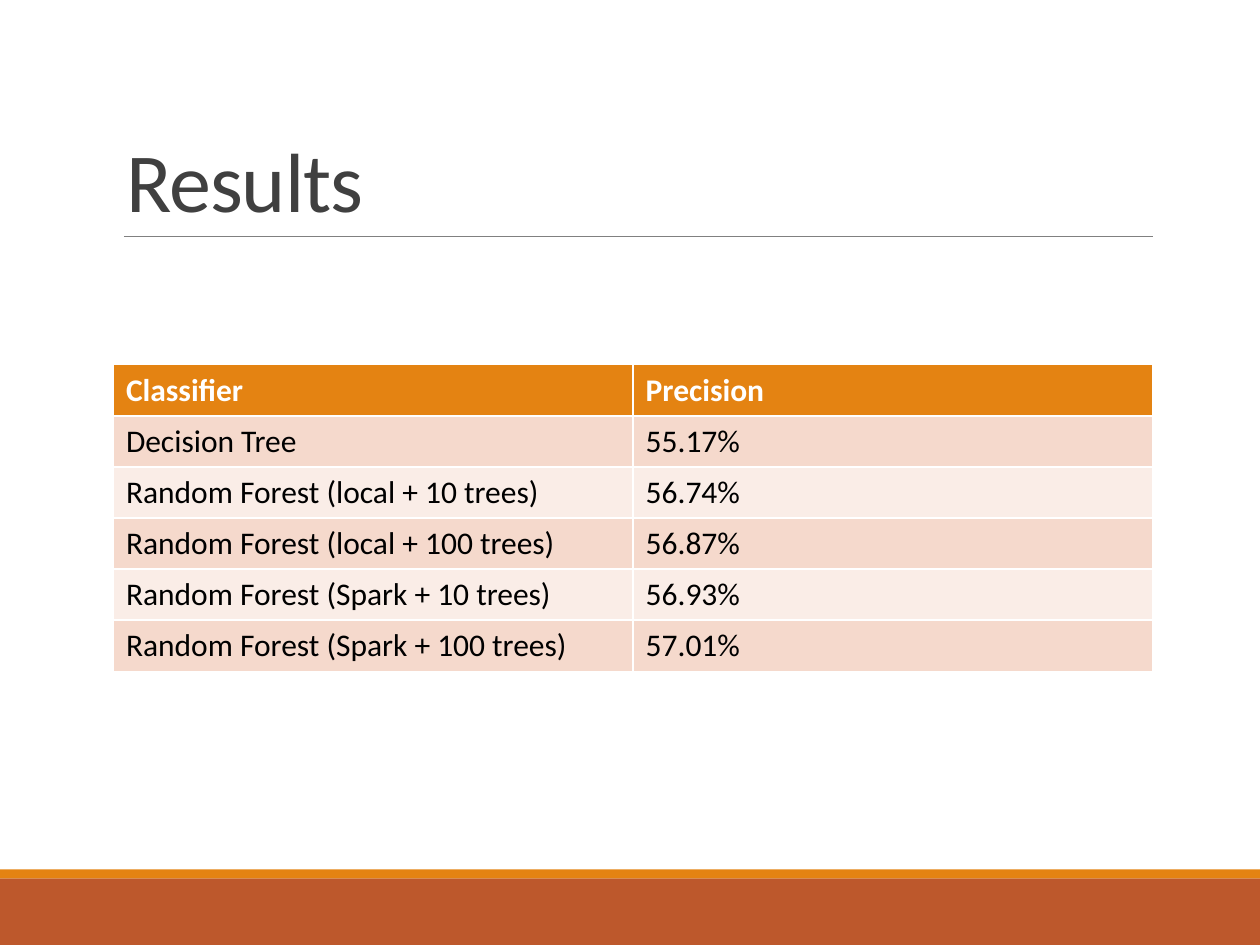
import dataclasses

import lxml.etree
import pptx
import pptx.dml.color
import pptx.enum.shapes
import pptx.enum.text
import pptx.oxml.ns
import pptx.util


def rgb(code):
    """Return the colour for a hex code."""
    return pptx.dml.color.RGBColor.from_string(code)


@dataclasses.dataclass(frozen=True)
class Theme:
    """Hold the colours and type sizes of the slide."""

    font: str = "Calibri"
    title_size: int = 48
    table_size: int = 18
    title: str = "404040"
    rule: str = "808080"
    header_text: str = "FFFFFF"
    body_text: str = "000000"
    header: str = "E48312"
    footer: str = "BD582C"
    bands: tuple = ("F5D9CC", "FAEDE7")


@dataclasses.dataclass(frozen=True)
class Box:
    """Describe a region in inches."""

    left: float
    top: float
    width: float
    height: float

    def region(self, x, y, width, height):
        """Return a region given as shares of this one."""
        return Box(self.left + x * self.width, self.top + y * self.height,
                   width * self.width, height * self.height)

    def lengths(self):
        """Return left, top, width and height as lengths."""
        return [pptx.util.Inches(side) for side in dataclasses.astuple(self)]


THEME = Theme()
PAGE = Box(0, 0, 10, 7.5)
RESULTS = [
    ("Classifier", "Precision"),
    ("Decision Tree", "55.17%"),
    ("Random Forest (local + 10 trees)", "56.74%"),
    ("Random Forest (local + 100 trees)", "56.87%"),
    ("Random Forest (Spark + 10 trees)", "56.93%"),
    ("Random Forest (Spark + 100 trees)", "57.01%"),
]


def apply(target, formats):
    """Set every attribute in formats on target."""
    for name, value in formats.items():
        setattr(target, name, value)


def style_font(font, size, color, bold=False):
    """Format a font with the theme typeface."""
    apply(font, {"name": THEME.font, "size": pptx.util.Pt(size), "bold": bold})
    font.color.rgb = rgb(color)


def add_footer(slide, box):
    """Place the thin accent stripe above the footer band."""
    stripe = 0.12
    bands = [
        (box.region(0, stripe, 1, 1 - stripe), THEME.footer),
        (box.region(0, 0, 1, stripe), THEME.header),
    ]
    for area, color in bands:
        band = slide.shapes.add_shape(
            pptx.enum.shapes.MSO_SHAPE.RECTANGLE, *area.lengths())
        band.shadow.inherit = False
        band.fill.solid()
        band.fill.fore_color.rgb = rgb(color)
        band.line.fill.background()


def add_heading(slide, box, wording):
    """Place the title at the bottom of the box with a rule beneath it."""
    heading = slide.shapes.title
    apply(heading, dict(zip(("left", "top", "width", "height"), box.lengths())))
    apply(heading.text_frame, {
        "text": wording,
        "word_wrap": True,
        "auto_size": pptx.enum.text.MSO_AUTO_SIZE.NONE,
        "vertical_anchor": pptx.enum.text.MSO_ANCHOR.BOTTOM,
    })
    paragraph = heading.text_frame.paragraphs[0]
    apply(paragraph, {
        "alignment": pptx.enum.text.PP_ALIGN.LEFT,
        "line_spacing": 0.85,
    })
    run = paragraph.runs[0]
    style_font(run.font, THEME.title_size, THEME.title)
    run.font._element.set("spc", "-50")

    left, top, width, height = box.region(0.01, 1, 0.99, 0).lengths()
    rule = slide.shapes.add_connector(
        pptx.enum.shapes.MSO_CONNECTOR.STRAIGHT, left, top, left + width, top)
    rule.line.color.rgb = rgb(THEME.rule)
    rule.line.width = pptx.util.Pt(0.5)
    lxml.etree.SubElement(rule._element.spPr, pptx.oxml.ns.qn("a:effectLst"))


def add_results(slide, box, results):
    """Place the results table with a header and alternating bands."""
    table = slide.shapes.add_table(
        len(results), len(results[0]), *box.lengths()).table
    for row, values in enumerate(results):
        is_header = row == 0
        fill = THEME.header if is_header else THEME.bands[(row - 1) % 2]
        color = THEME.header_text if is_header else THEME.body_text
        for column, value in enumerate(values):
            cell = table.cell(row, column)
            cell.text = value
            cell.fill.solid()
            cell.fill.fore_color.rgb = rgb(fill)
            font = cell.text_frame.paragraphs[0].runs[0].font
            style_font(font, THEME.table_size, color, is_header)


def main():
    """Build and save the results slide."""
    deck = pptx.Presentation()
    apply(deck, {
        "slide_width": pptx.util.Inches(PAGE.width),
        "slide_height": pptx.util.Inches(PAGE.height),
    })
    slide = deck.slides.add_slide(deck.slide_layouts.get_by_name("Title Only"))
    # Shares of the page keep every region aligned to the same margins.
    margin, span = 0.09, 0.825
    add_footer(slide, PAGE.region(0, 0.92, 1, 0.08))
    add_heading(slide, PAGE.region(margin, 0.04, span, 0.21), "Results")
    add_results(slide, PAGE.region(margin, 0.386, span, 0.324), RESULTS)
    deck.save("out.pptx")


if __name__ == "__main__":
    main()
